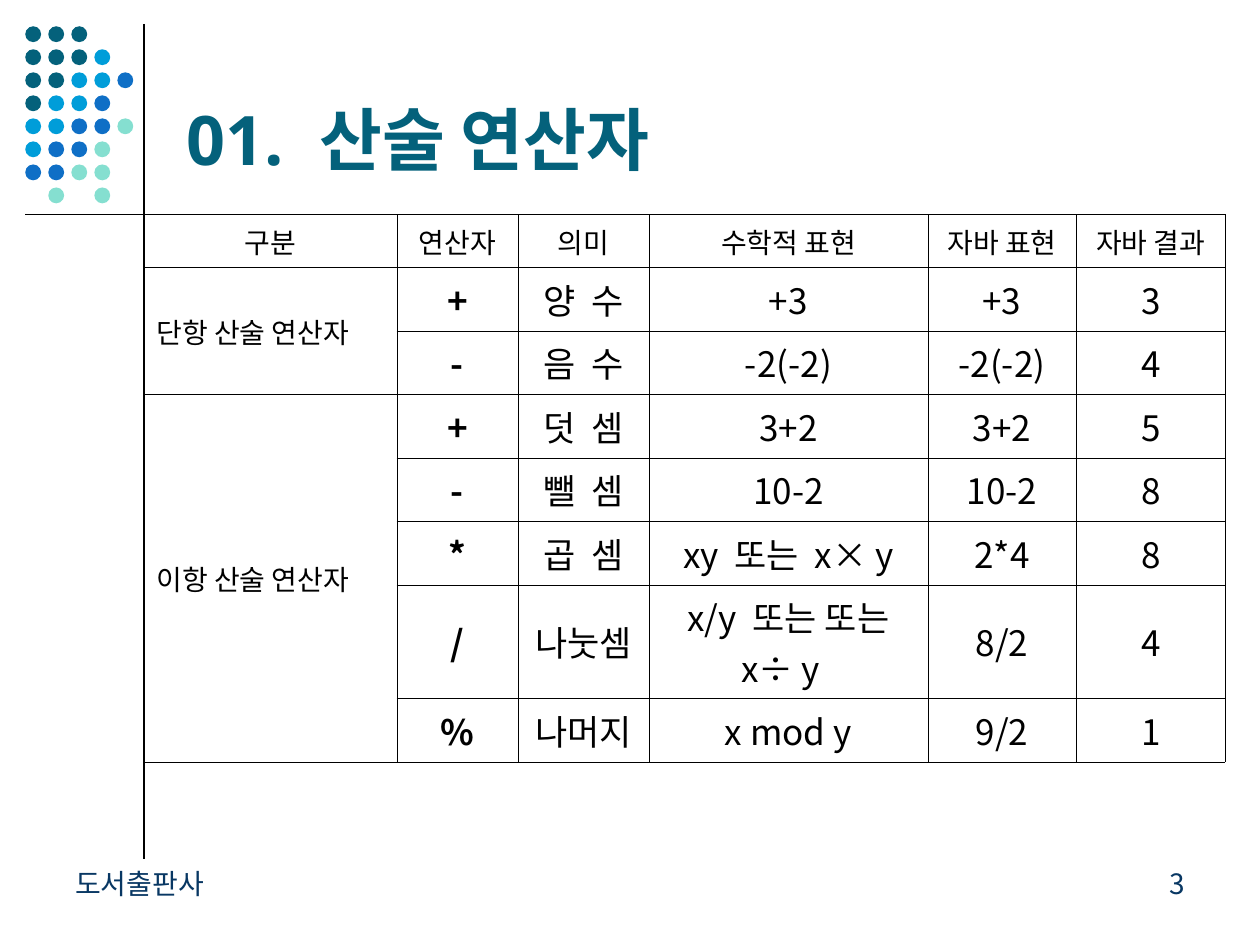
from lxml import etree
from pptx import Presentation
from pptx.dml.color import RGBColor
from pptx.enum import shapes, text
from pptx.oxml.ns import qn
from pptx.util import Cm, Pt

COLORS = {
    "teal": "04617B",
    "sky": "009DD9",
    "blue": "0F6FC6",
    "mint": "85DFD0",
    "navy": "083763",
    "black": "000000",
}
BODY_FONT = "Noto Sans CJK KR"
TITLE_FONT = "Noto Sans"
ALIGN = text.PP_ALIGN

# One letter per dot, a dot for an empty place
DOT_ROWS = ["TTT..", "TTTS.", "TTSSB", "TSSB.", "SSBBM", "SBBM.", "BBMM.", ".M.M."]
DOT_COLORS = {"T": "teal", "S": "sky", "B": "blue", "M": "mint"}
DOT_SIZE = 0.32
DOT_PITCH = 3.25 / 7

OPERATORS = [
    ["구분", "연산자", "의미", "수학적 표현", "자바 표현", "자바 결과"],
    ["단항 산술 연산자", "+", "양  수", "+3", "+3", "3"],
    ["", "-", "음  수", "-2(-2)", "-2(-2)", "4"],
    ["이항 산술 연산자", "+", "덧  셈", "3+2", "3+2", "5"],
    ["", "-", "뺄  셈", "10-2", "10-2", "8"],
    ["", "*", "곱  셈", "xy  또는  x× y", "2*4", "8"],
    ["", "/", "나눗셈", "x/y  또는 또는x÷ y  ", "8/2", "4"],
    ["", "%", "나머지", "x mod y", "9/2", "1"],
]
COLUMN_WIDTHS = [5.1, 2.44, 2.65, 5.61, 3, 3]
ROW_HEIGHTS = [1.07] + [1.28] * 5 + [2.29, 1.28]
CATEGORY_SPANS = [(1, 2), (3, 7)]


class SlideBuilder:
    def __init__(self, slide):
        self.slide = slide

    def color(self, name):
        return RGBColor.from_string(COLORS[name])

    def format_text(self, frame, size, color, align, font=BODY_FONT, bold=False):
        for paragraph in frame.paragraphs:
            paragraph.alignment = align
            for run in paragraph.runs:
                run.font.size = Pt(size)
                run.font.bold = bold
                run.font.name = font
                run.font.color.rgb = self.color(color)
                latin = run.font._element.find(qn("a:latin"))
                east_asian = etree.Element(qn("a:ea"), typeface=BODY_FONT)
                latin.addnext(east_asian)

    def title(self, words, left, top, width, height):
        shape = self.slide.shapes.title
        shape.left, shape.top = Cm(left), Cm(top)
        shape.width, shape.height = Cm(width), Cm(height)
        frame = shape.text_frame
        frame.text = words
        frame.auto_size = text.MSO_AUTO_SIZE.NONE
        frame.vertical_anchor = text.MSO_ANCHOR.BOTTOM
        self.format_text(frame, 39, "teal", ALIGN.LEFT, TITLE_FONT, True)

    def label(self, words, left, top, width, height, align):
        shape = self.slide.shapes.add_textbox(Cm(left), Cm(top), Cm(width), Cm(height))
        frame = shape.text_frame
        frame.word_wrap = True
        frame.text = words
        self.format_text(frame, 16, "navy", align)

    def line(self, x1, y1, x2, y2):
        connector = self.slide.shapes.add_connector(
            shapes.MSO_CONNECTOR.STRAIGHT, Cm(x1), Cm(y1), Cm(x2), Cm(y2))
        connector.line.color.rgb = self.color("black")
        connector.line.width = Pt(0.75)
        etree.SubElement(connector._element.spPr, qn("a:effectLst"))

    def dots(self, left, top):
        group = self.slide.shapes.add_group_shape()
        for row, letters in enumerate(DOT_ROWS):
            for column, letter in enumerate(letters):
                if letter not in DOT_COLORS:
                    continue
                dot = group.shapes.add_shape(
                    shapes.MSO_SHAPE.OVAL,
                    Cm(left + column * DOT_PITCH), Cm(top + row * DOT_PITCH),
                    Cm(DOT_SIZE), Cm(DOT_SIZE))
                dot.shadow.inherit = False
                dot.fill.solid()
                dot.fill.fore_color.rgb = self.color(DOT_COLORS[letter])
                dot.line.fill.background()

    def cell_border(self, cell):
        properties = cell._tc.get_or_add_tcPr()
        for side in ("a:lnL", "a:lnR", "a:lnT", "a:lnB"):
            border = etree.SubElement(properties, qn(side), w=str(Pt(0.06)))
            fill = etree.SubElement(border, qn("a:solidFill"))
            etree.SubElement(fill, qn("a:srgbClr"), val=COLORS["black"])

    def table(self, rows, left, top):
        table = self.slide.shapes.add_table(
            len(rows), len(COLUMN_WIDTHS), Cm(left), Cm(top),
            Cm(sum(COLUMN_WIDTHS)), Cm(sum(ROW_HEIGHTS))).table
        table.first_row = table.horz_banding = False
        for column, width in zip(table.columns, COLUMN_WIDTHS):
            column.width = Cm(width)
        for row, height in zip(table.rows, ROW_HEIGHTS):
            row.height = Cm(height)
        for first, last in CATEGORY_SPANS:
            table.cell(first, 0).merge(table.cell(last, 0))

        for r, words in enumerate(rows):
            for c, word in enumerate(words):
                cell = table.cell(r, c)
                self.cell_border(cell)
                cell.fill.background()
                if cell.is_spanned:
                    continue
                cell.vertical_anchor = text.MSO_ANCHOR.MIDDLE
                cell.text_frame.text = word
                is_header, is_category = r == 0, r > 0 and c == 0
                self.format_text(
                    cell.text_frame,
                    16 if is_header or is_category else 20,
                    "black",
                    ALIGN.JUSTIFY if is_category else ALIGN.CENTER,
                    bold=c == 1 and not is_header)


def main():
    presentation = Presentation()
    presentation.slide_width, presentation.slide_height = Cm(25.4), Cm(19.05)
    slide = presentation.slides.add_slide(presentation.slide_layouts[5])
    builder = SlideBuilder(slide)

    # Corner decoration
    builder.line(2.9, 0.48, 2.9, 17.32)
    builder.dots(0.51, 0.53)
    builder.line(0.51, 4.32, 24.71, 4.32)

    # Title and footer
    builder.title("01.  산술 연산자", 3.51, 0.53, 20.96, 3.2)
    builder.label("도서출판사", 1.27, 17.35, 5.92, 1.27, ALIGN.LEFT)
    builder.label("3", 18.21, 17.35, 5.92, 1.27, ALIGN.RIGHT)

    # Arithmetic operators
    builder.table(OPERATORS, 2.9, 4.32)

    presentation.save("out.pptx")


if __name__ == "__main__":
    main()
